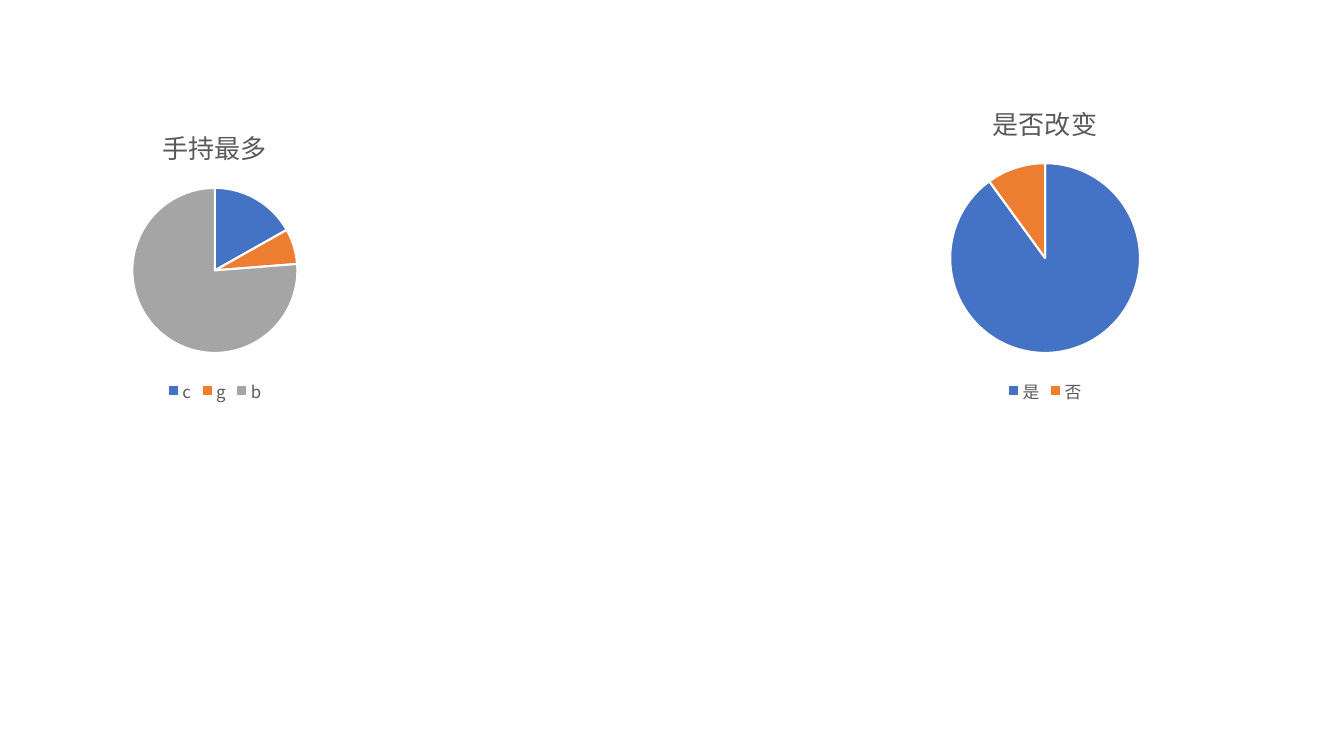
from dataclasses import dataclass

from lxml import etree
from pptx import Presentation
from pptx import util as u
from pptx.chart import chart as charts
from pptx.chart import data as chart_data
from pptx.dml.color import RGBColor
from pptx.enum import chart as chart_enum
from pptx.oxml import ns
from pptx.slide import Slide
from pptx.text.text import Font

FONT_NAME = "Noto Sans CJK SC"
BLACK = RGBColor(0x00, 0x00, 0x00)
WHITE = RGBColor(0xFF, 0xFF, 0xFF)
GREY_TEXT = RGBColor(0x59, 0x59, 0x59)
BLUE = RGBColor(0x44, 0x72, 0xC4)
ORANGE = RGBColor(0xED, 0x7D, 0x31)
GREY = RGBColor(0xA5, 0xA5, 0xA5)
SLICE_COLOURS = (BLUE, ORANGE, GREY)


@dataclass(frozen=True)
class Pie:
    title: str
    shares: dict[str, int]
    left: float
    top: float
    width: float
    height: float


PIES = (
    Pie("手持最多", {"c": 17, "g": 7, "b": 77}, 34, 78, 239, 213),
    Pie("是否改变", {"是": 90, "否": 10}, 553, 60, 387, 231),
)


def format_font(font: Font, size: float, colour: RGBColor) -> None:
    font.name = FONT_NAME
    font.size = u.Pt(size)
    font.bold = False
    font.color.rgb = colour


def set_east_asian_fonts(chart: charts.Chart) -> None:
    """Give Chinese characters the same typeface as Latin letters."""
    for latin in list(chart.element.iter(ns.qn("a:latin"))):
        east_asian = etree.Element(ns.qn("a:ea"), typeface=FONT_NAME)
        latin.addnext(east_asian)


def add_pie(page: Slide, pie: Pie) -> None:
    values = chart_data.CategoryChartData()
    values.categories = list(pie.shares)
    values.add_series(pie.title, list(pie.shares.values()))
    frame = page.shapes.add_chart(
        chart_enum.XL_CHART_TYPE.PIE,
        u.Pt(pie.left), u.Pt(pie.top), u.Pt(pie.width), u.Pt(pie.height),
        values,
    )
    chart = frame.chart
    format_font(chart.font, 10, BLACK)

    chart.has_title = True
    para = chart.chart_title.text_frame.paragraphs[0]
    para.text = pie.title
    format_font(para.runs[0].font, 18.6, GREY_TEXT)

    chart.has_legend = True
    chart.legend.position = chart_enum.XL_LEGEND_POSITION.BOTTOM
    chart.legend.include_in_layout = False
    format_font(chart.legend.font, 12, GREY_TEXT)

    plot = chart.plots[0]
    plot.vary_by_categories = True
    for index, colour in enumerate(SLICE_COLOURS[:len(pie.shares)]):
        slice_format = plot.series[0].points[index].format
        slice_format.fill.solid()
        slice_format.fill.fore_color.rgb = colour
        slice_format.line.color.rgb = WHITE
        slice_format.line.width = u.Pt(1.5)

    set_east_asian_fonts(chart)


def main() -> None:
    deck = Presentation()
    deck.slide_width, deck.slide_height = u.Pt(960), u.Pt(540)
    blank_layout = deck.slide_layouts.get_by_name("Blank")
    page = deck.slides.add_slide(blank_layout)
    for pie in PIES:
        add_pie(page, pie)
    deck.save("out.pptx")


if __name__ == "__main__":
    main()
